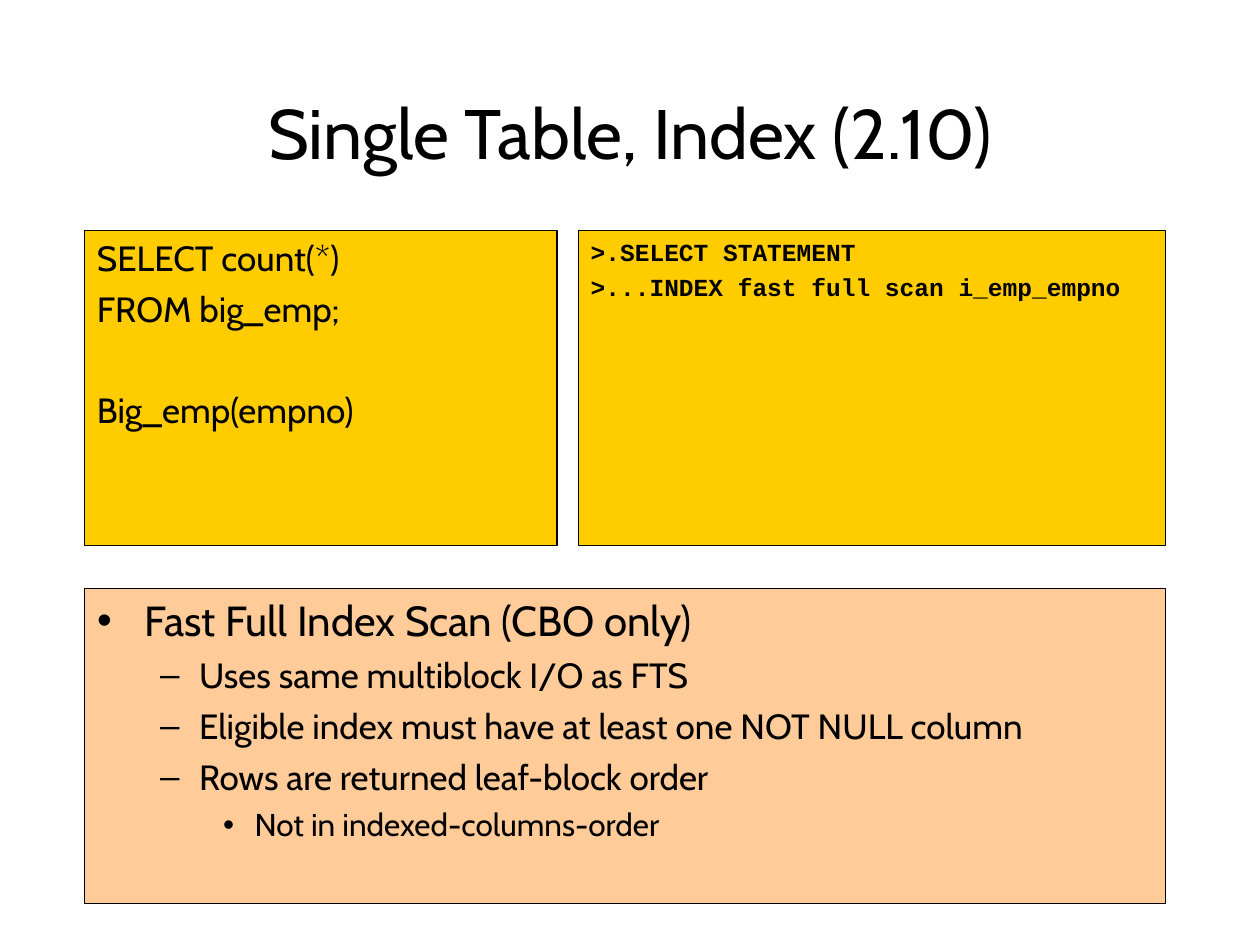
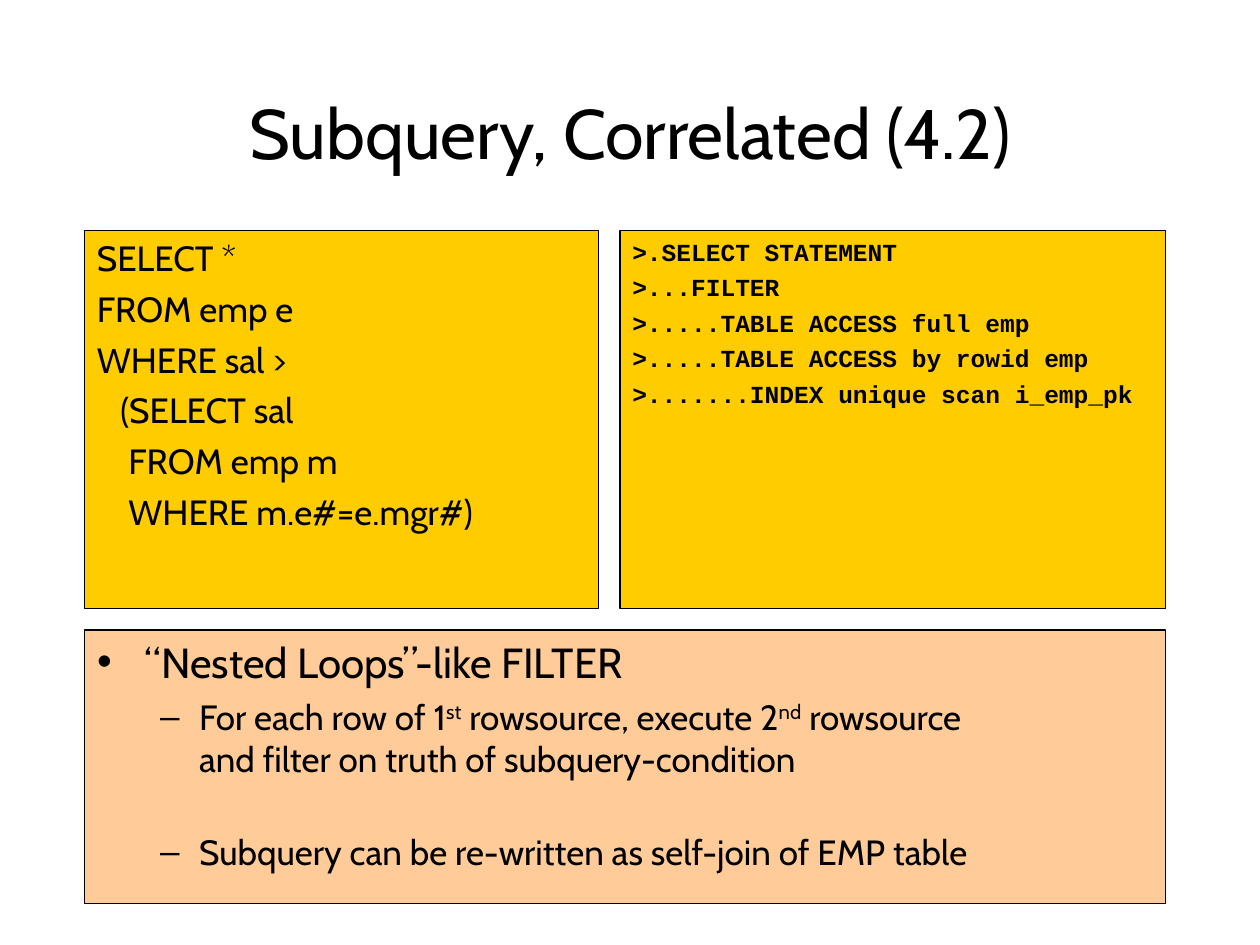
from copy import deepcopy

from lxml.etree import SubElement
from pptx import Presentation
from pptx.dml.color import RGBColor
from pptx.enum.shapes import MSO_SHAPE
from pptx.enum.text import MSO_ANCHOR, MSO_AUTO_SIZE, PP_ALIGN
from pptx.oxml.ns import qn
from pptx.util import Inches, Pt

COLOURS = {"ink": "000000", "query": "FFCC00", "notes": "FFCC99"}
TEXT_FONT = "Cabin"
CODE_FONT = "Courier New"
LEFT, RIGHT, TOP, BOTTOM = 0.67, 9.25, 1.83, 7.17
GAP = 0.17

QUERY_STYLE = {"name": TEXT_FONT, "size": Pt(20)}
PLAN_STYLE = {"name": CODE_FONT, "size": Pt(14), "bold": True}
TITLE_STYLE = {"name": TEXT_FONT, "size": Pt(40)}
# Per list level: bullet, text indent, hanging indent, text size, space before
LEVELS = [
    ("•", 0.38, 0.38, 24, 6),
    ("–", 0.81, 0.31, 20, 5),
    ("•", 1.25, 0.25, 18, 4.5),
]
BLANK_LINE = 24  # height of one skipped 20-point line

SLIDES = [
    {
        "title": "Single Table, Index (2.10)",
        "query": [("SELECT count(*)", 0), ("FROM big_emp;", 0),
                  ("Big_emp(empno)", BLANK_LINE + 5)],
        "plan": [">.SELECT STATEMENT", ">...INDEX fast full scan i_emp_empno"],
        "query_width": 3.75,
        "query_height": 2.5,
        "notes_top": 4.67,
        "notes": [
            (0, "Fast Full Index Scan (CBO only)", 0),
            (1, "Uses same multiblock I/O as FTS", 0),
            (1, "Eligible index must have at least one NOT NULL column", 0),
            (1, "Rows are returned leaf-block order", 0),
            (2, "Not in indexed-columns-order", 0),
        ],
    },
    {
        "title": "Subquery, Correlated (4.2)",
        "query": [("SELECT *", 0), ("FROM emp e", 0), ("WHERE sal >", 0),
                  ("   (SELECT sal", 0), ("    FROM emp m", 0),
                  ("    WHERE m.e#=e.mgr#)", 0)],
        "plan": [">.SELECT STATEMENT", ">...FILTER",
                 ">.....TABLE ACCESS full emp",
                 ">.....TABLE ACCESS by rowid emp",
                 ">.......INDEX unique scan i_emp_pk"],
        "query_width": 4.08,
        "query_height": 3,
        "notes_top": 5,
        "notes": [
            (0, "“Nested Loops”-like FILTER", 0),
            (1, "For each row of 1^st^ rowsource, execute 2^nd^ rowsource\n"
                "and filter on truth of subquery-condition", 0),
            (1, "Subquery can be re-written as self-join of EMP table",
             BLANK_LINE),
        ],
    },
]


def colour(name):
    return RGBColor.from_string(COLOURS[name])


def place(shape, left, top, width, height):
    shape.left, shape.top = Inches(left), Inches(top)
    shape.width, shape.height = Inches(width), Inches(height)


def paint(shape, fill):
    shape.fill.solid()
    shape.fill.fore_color.rgb = colour(fill)
    shape.line.color.rgb = colour("ink")
    shape.line.width = Pt(0.75)


def set_frame(frame, anchor):
    frame.word_wrap = True
    frame.auto_size = MSO_AUTO_SIZE.NONE
    frame.vertical_anchor = anchor


def add_span(paragraph, text, style):
    span = paragraph.add_run()
    span.text = text
    for name, value in style.items():
        setattr(span.font, name, value)
    span.font.color.rgb = colour("ink")
    return span


def write_marked(paragraph, text, style):
    """Write text in which ^ encloses a superscript and a newline breaks."""
    for row, line in enumerate(text.split("\n")):
        if row:
            paragraph.add_line_break()
            paragraph._p[-1].append(deepcopy(span._r.rPr))
        for part, words in enumerate(line.split("^")):
            span = add_span(paragraph, words, style)
            if part % 2:
                span._r.rPr.set("baseline", "30000")


def paragraphs(frame, items):
    """Yield a paragraph of the frame for each item, with its index."""
    for index, item in enumerate(items):
        yield index, frame.add_paragraph() if index else frame.paragraphs[0], item


def set_indent(paragraph, left, hanging):
    properties = paragraph._p.get_or_add_pPr()
    properties.set("marL", str(Inches(left)))
    properties.set("indent", str(-Inches(hanging)))
    return properties


def set_bullet(paragraph, bullet, left, hanging):
    properties = set_indent(paragraph, left, hanging)
    bullet_colour = SubElement(properties, qn("a:buClr"))
    SubElement(bullet_colour, qn("a:srgbClr"), val=COLOURS["ink"])
    SubElement(properties, qn("a:buChar"), char=bullet)


def fill_title(page, text):
    title = page.shapes.title
    place(title, 0.75, 0.67, 8.5, 0.75)
    set_frame(title.text_frame, MSO_ANCHOR.MIDDLE)
    paragraph = title.text_frame.paragraphs[0]
    paragraph.alignment = PP_ALIGN.CENTER
    add_span(paragraph, text, TITLE_STYLE)


def fill_notes(page, top, notes):
    box = page.placeholders[1]
    place(box, LEFT, top, RIGHT - LEFT, BOTTOM - top)
    paint(box, "notes")
    set_frame(box.text_frame, MSO_ANCHOR.TOP)
    for index, paragraph, (level, text, extra) in paragraphs(box.text_frame, notes):
        bullet, left, hanging, size, before = LEVELS[level]
        paragraph.level = level
        set_bullet(paragraph, bullet, left, hanging)
        paragraph.space_before = Pt(before + extra if index else 0)
        write_marked(paragraph, text, {"name": TEXT_FONT, "size": Pt(size)})


def add_code_box(page, area, lines, style, before):
    """Add a box of code from (line, extra space before) pairs."""
    box = page.shapes.add_shape(MSO_SHAPE.RECTANGLE, *map(Inches, area))
    box.shadow.inherit = False
    paint(box, "query")
    set_frame(box.text_frame, MSO_ANCHOR.TOP)
    for index, paragraph, (line, extra) in paragraphs(box.text_frame, lines):
        paragraph.alignment = PP_ALIGN.LEFT
        set_indent(paragraph, 0.38, 0.38)
        paragraph.space_before = Pt(before + extra if index else 0)
        add_span(paragraph, line, style)


def add_query_page(deck, content):
    page = deck.slides.add_slide(deck.slide_layouts[1])
    width, height = content["query_width"], content["query_height"]
    plan_left = LEFT + width + GAP
    plan_lines = [(line, 0) for line in content["plan"]]
    fill_title(page, content["title"])
    fill_notes(page, content["notes_top"], content["notes"])
    add_code_box(page, (plan_left, TOP, RIGHT - plan_left, height),
                 plan_lines, PLAN_STYLE, 3.5)
    add_code_box(page, (LEFT, TOP, width, height),
                 content["query"], QUERY_STYLE, 5)


def main():
    deck = Presentation()
    deck.slide_width, deck.slide_height = Inches(10), Inches(7.5)
    for content in SLIDES:
        add_query_page(deck, content)
    deck.save("out.pptx")


if __name__ == "__main__":
    main()
